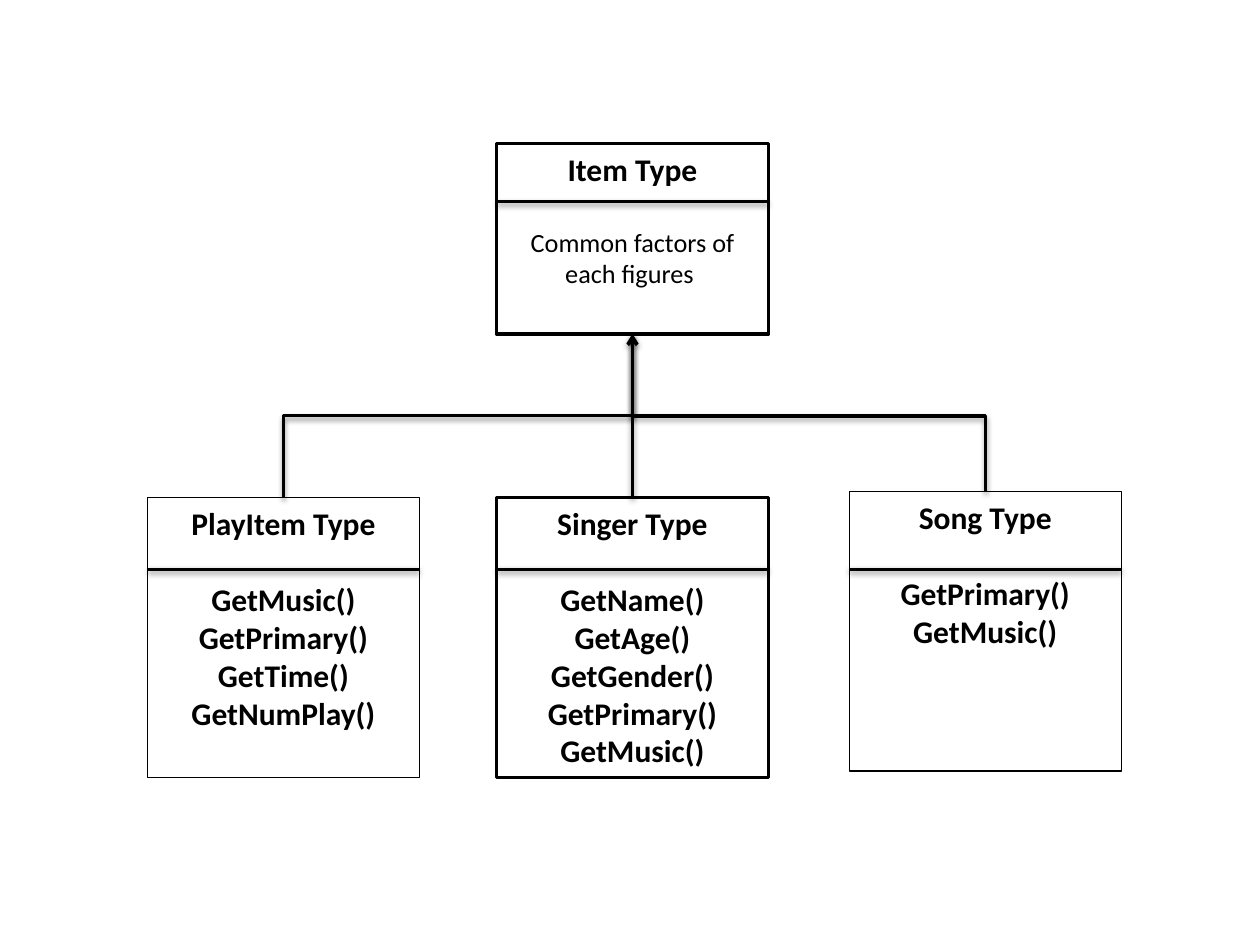
"""Build a class diagram with one parent type and three derived types."""
from dataclasses import dataclass

from lxml import etree
from pptx import Presentation
from pptx.dml.color import RGBColor
from pptx.enum.shapes import MSO_CONNECTOR, MSO_SHAPE
from pptx.enum.text import MSO_ANCHOR, PP_ALIGN
from pptx.oxml.ns import qn
from pptx.util import Inches, Pt

STRAIGHT = MSO_CONNECTOR.STRAIGHT
ELBOW = MSO_CONNECTOR.ELBOW
RECTANGLE = MSO_SHAPE.RECTANGLE
TOP = MSO_ANCHOR.TOP
CENTER = PP_ALIGN.CENTER

COLUMNS, ROWS = 100, 75
CELL = Inches(0.1)
CARD_COLUMNS = 21.6
PARENT_ROWS, CHILD_ROWS = 15.1, 22.2
BUS_ROW = 33
QUARTER_TURN = 5400000


@dataclass(frozen=True)
class Theme:
    """Colours, type sizes and line widths."""
    ink: RGBColor = RGBColor(0, 0, 0)
    paper: RGBColor = RGBColor(255, 255, 255)
    font: str = "Calibri"
    heading: float = 18
    note: float = 15
    gap: float = 22
    thin: float = 0.75
    thick: float = 2


@dataclass(frozen=True)
class Card:
    """A type with its members, placed on the grid."""
    title: str
    members: tuple[str, ...]
    column: float
    row: float
    rows: float
    divider_row: float
    strong: bool = False
    note: bool = False

    @property
    def middle(self) -> float:
        """Return the column of the card's centre."""
        return self.column + CARD_COLUMNS / 2


THEME = Theme()
PARENT = Card("Item Type", ("Common factors of each figures ",),
              39.4, 11.4, PARENT_ROWS, 16, strong=True, note=True)
CHILDREN = (
    Card("PlayItem Type", ("GetMusic()", "GetPrimary()", "GetTime()", "GetNumPlay()"),
         11.7, 39.5, CHILD_ROWS, 45.2),
    Card("Singer Type",
         ("GetName()", "GetAge()", "GetGender()", "GetPrimary()", "GetMusic()"),
         39.4, 39.5, CHILD_ROWS, 45.2, strong=True),
    Card("Song Type", ("GetPrimary()", "GetMusic()"),
         67.4, 39, CHILD_ROWS, 45.2),
)


def grid(cells: float) -> int:
    """Convert grid cells to a slide length."""
    return round(cells * CELL)


def write_text(paragraph, text: str, *, size: float, bold: bool = True,
               before: float = 0) -> None:
    """Write centred text into a paragraph."""
    paragraph.alignment = CENTER
    paragraph.space_before = Pt(before)
    run = paragraph.add_run()
    run.text = text
    run.font.name = THEME.font
    run.font.size = Pt(size)
    run.font.bold = bold
    run.font.color.rgb = THEME.ink


def draw_card(slide, card: Card) -> None:
    """Draw the box of a type with its title and members."""
    shape = slide.shapes.add_shape(RECTANGLE, grid(card.column), grid(card.row),
                                   grid(CARD_COLUMNS), grid(card.rows))
    shape.shadow.inherit = False
    if card.strong:
        shape.fill.solid()
        shape.fill.fore_color.rgb = THEME.paper
    else:
        shape.fill.background()
    shape.line.color.rgb = THEME.ink
    shape.line.width = Pt(THEME.thick if card.strong else THEME.thin)
    frame = shape.text_frame
    frame.word_wrap = True
    frame.vertical_anchor = TOP
    write_text(frame.paragraphs[0], card.title, size=THEME.heading)
    for index, member in enumerate(card.members):
        write_text(frame.add_paragraph(), member,
                   size=THEME.note if card.note else THEME.heading,
                   bold=not card.note, before=0 if index else THEME.gap)


def add_shadow(connector) -> None:
    """Give a connector a soft shadow straight below it."""
    effects = etree.SubElement(connector._element.spPr, qn("a:effectLst"))
    shadow = etree.SubElement(effects, qn("a:outerShdw"), blurRad="40000",
                              dist="20000", dir=str(QUARTER_TURN), rotWithShape="0")
    color = etree.SubElement(shadow, qn("a:srgbClr"), val=str(THEME.ink))
    etree.SubElement(color, qn("a:alpha"), val="38000")


def draw_line(slide, start: tuple[float, float], end: tuple[float, float],
              kind=STRAIGHT, arrow: bool = False):
    """Draw a shadowed connector between two grid points."""
    connector = slide.shapes.add_connector(kind, *map(grid, start + end))
    connector.line.color.rgb = THEME.ink
    connector.line.width = Pt(THEME.thick)
    if arrow:
        etree.SubElement(connector.line._get_or_add_ln(), qn("a:tailEnd"), type="arrow")
    add_shadow(connector)
    return connector


def draw_branch(slide, start: tuple[float, float], end: tuple[float, float]) -> None:
    """Draw an elbow that leaves upwards and turns at the bus row."""
    middle_x, middle_y = (start[0] + end[0]) / 2, (start[1] + end[1]) / 2
    half_run, half_rise = abs(end[0] - start[0]) / 2, (start[1] - end[1]) / 2
    rightwards = end[0] > start[0]
    side = 1 if rightwards else -1
    connector = draw_line(slide, (middle_x + side * half_rise, middle_y + half_run),
                          (middle_x - side * half_rise, middle_y - half_run), ELBOW)
    properties = connector._element.spPr
    turns = 1 if rightwards else 3
    properties.find(qn("a:xfrm")).set("rot", str(turns * QUARTER_TURN))
    adjustments = properties.find(qn("a:prstGeom")).get_or_add_avLst()
    share = (start[1] - BUS_ROW) / (start[1] - end[1])
    etree.SubElement(adjustments, qn("a:gd"), name="adj1",
                     fmla=f"val {round(share * 100000)}")


def build() -> None:
    """Build and save the presentation."""
    presentation = Presentation()
    presentation.slide_width = grid(COLUMNS)
    presentation.slide_height = grid(ROWS)
    slide = presentation.slides.add_slide(presentation.slide_layouts[6])
    cards = (*CHILDREN, PARENT)
    for card in cards:
        draw_card(slide, card)
    target = (PARENT.middle, PARENT.row + PARENT.rows)
    for child in CHILDREN:
        start = (child.middle, child.row)
        if child.column == PARENT.column:
            draw_line(slide, start, target, arrow=True)
        else:
            draw_branch(slide, start, target)
    for card in cards:
        draw_line(slide, (card.column, card.divider_row),
                  (card.column + CARD_COLUMNS, card.divider_row))
    presentation.save("out.pptx")


build()
